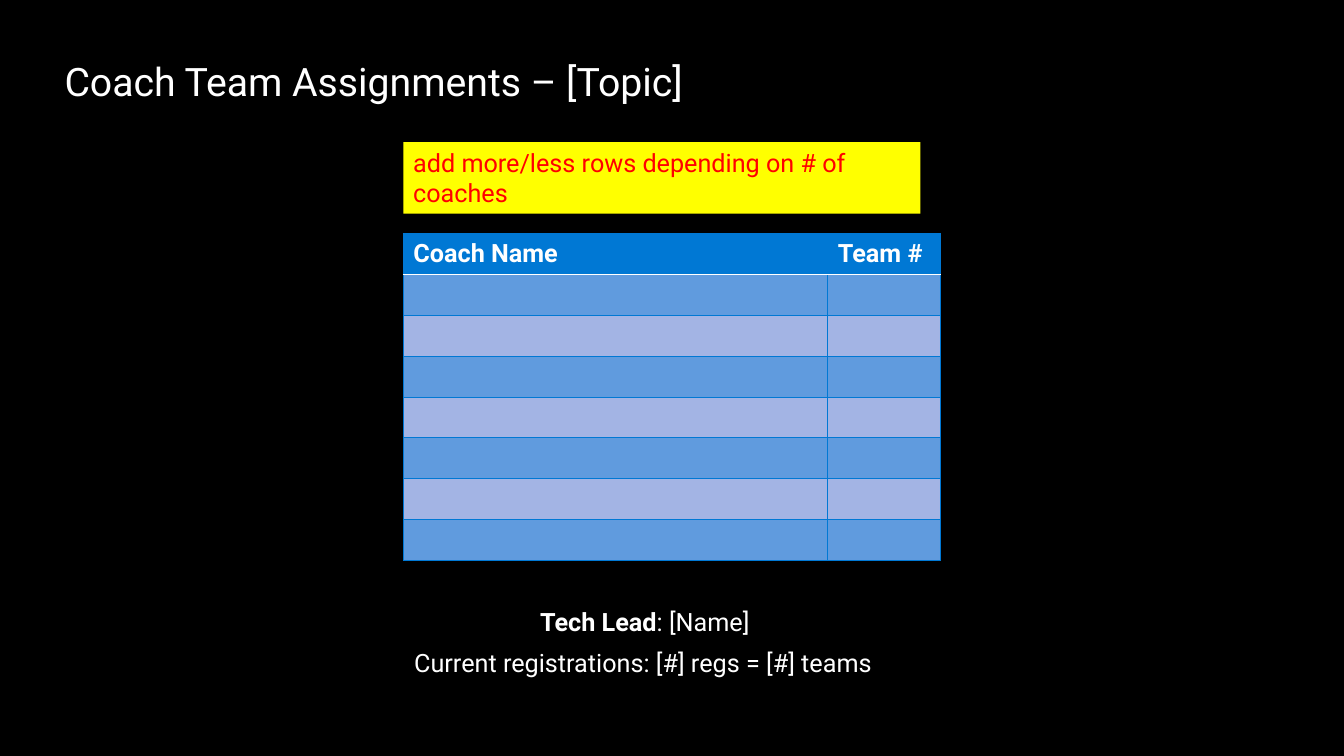
from lxml import etree
from pptx import Presentation
from pptx.dml.color import RGBColor
from pptx.enum.shapes import MSO_SHAPE
from pptx.enum.text import MSO_ANCHOR, PP_ALIGN
from pptx.oxml.ns import qn
from pptx.util import Inches, Pt

RECTANGLE = MSO_SHAPE.RECTANGLE
TOP = MSO_ANCHOR.TOP
LEFT, CENTER = PP_ALIGN.LEFT, PP_ALIGN.CENTER

FONT = "Roboto"
BLACK, WHITE, RED, YELLOW = "000000", "FFFFFF", "FF0000", "FFFF00"
BLUE, BAND_DARK, BAND_LIGHT = "0078D4", "609BDE", "A3B4E4"

HEADERS = ["Coach Name", "Team #"]
COLUMN_WIDTHS = [4.21, 1.12]
ROW_COUNT = 8
ROW_HEIGHT = 0.405


def rgb(color):
    return RGBColor.from_string(color)


def set_fill(target, color):
    target.fill.solid()
    target.fill.fore_color.rgb = rgb(color)


def style_paragraph(p, size, color, bold=None, align=LEFT):
    p.alignment = align
    p.font.name = FONT
    p.font.size = Pt(size)
    p.font.color.rgb = rgb(color)
    p.font.bold = bold


def write_text(s, runs, size, color, align=LEFT, wrap=True):
    """Fill a shape with one paragraph of (text, bold) runs."""
    tf = s.text_frame
    tf.word_wrap = wrap
    tf.vertical_anchor = TOP
    p = tf.paragraphs[0]
    for text, bold in runs:
        r = p.add_run()
        r.text = text
        if bold:
            r.font.bold = True
    style_paragraph(p, size, color, align=align)


def add_text(s, box, runs, size=18, align=LEFT, wrap=True):
    tb = s.shapes.add_textbox(*map(Inches, box))
    write_text(tb, runs, size, WHITE, align, wrap)
    return tb


def add_title(s, box, text):
    tf = add_text(s, box, [(text, False)], size=28).text_frame
    tf.margin_left = tf.margin_right = tf.margin_bottom = 0
    tf.margin_top = Inches(0.07)


def add_note(s, box, text):
    note = s.shapes.add_shape(RECTANGLE, *map(Inches, box))
    note.shadow.inherit = False
    set_fill(note, YELLOW)
    note.line.fill.background()
    write_text(note, [(text, False)], 18, RED)


def set_borders(cell, top, bottom):
    """Draw all four cell edges; the sides are always blue."""
    tc_pr = cell._tc.get_or_add_tcPr()
    edges = {"lnL": BLUE, "lnR": BLUE, "lnT": top, "lnB": bottom}
    for position, (tag, color) in enumerate(edges.items()):
        ln = etree.Element(qn(f"a:{tag}"), w=str(Pt(0.75)))
        fill = etree.SubElement(ln, qn("a:solidFill"))
        etree.SubElement(fill, qn("a:srgbClr"), val=color)
        tc_pr.insert(position, ln)


def add_coach_table(s, left, top):
    frame = s.shapes.add_table(
        ROW_COUNT, len(HEADERS), Inches(left), Inches(top),
        Inches(sum(COLUMN_WIDTHS)), Inches(ROW_COUNT * ROW_HEIGHT))
    table = frame.table
    for column, width in zip(table.columns, COLUMN_WIDTHS):
        column.width = Inches(width)
    for i, row in enumerate(table.rows):
        row.height = Inches(ROW_HEIGHT)
        for header, cell in zip(HEADERS, row.cells):
            if i == 0:
                cell.text = header
                color = BLUE
            else:
                color = BAND_DARK if i % 2 else BAND_LIGHT
            style_paragraph(cell.text_frame.paragraphs[0], 18, WHITE, bold=i == 0)
            set_fill(cell, color)
            set_borders(cell, WHITE if i == 1 else BLUE, WHITE if i == 0 else BLUE)


def main():
    prs = Presentation()
    prs.slide_width, prs.slide_height = Inches(13.33), Inches(7.5)
    s = prs.slides.add_slide(prs.slide_layouts[6])
    set_fill(s.background, BLACK)

    add_coach_table(s, 4, 2.32)
    add_text(s, (-0.06, 5.97, 12.91, 0.4),
             [("Tech Lead", True), (": [Name]", False)], align=CENTER)
    add_text(s, (4.01, 6.37, 4.77, 0.4),
             [("Current registrations: [#] regs = [#] teams", False)], wrap=False)
    add_note(s, (4, 1.41, 5.13, 0.71), "add more/less rows depending on # of coaches")
    add_title(s, (0.64, 0.5, 8.14, 0.54), "Coach Team Assignments – [Topic]")

    prs.save("out.pptx")


if __name__ == "__main__":
    main()
